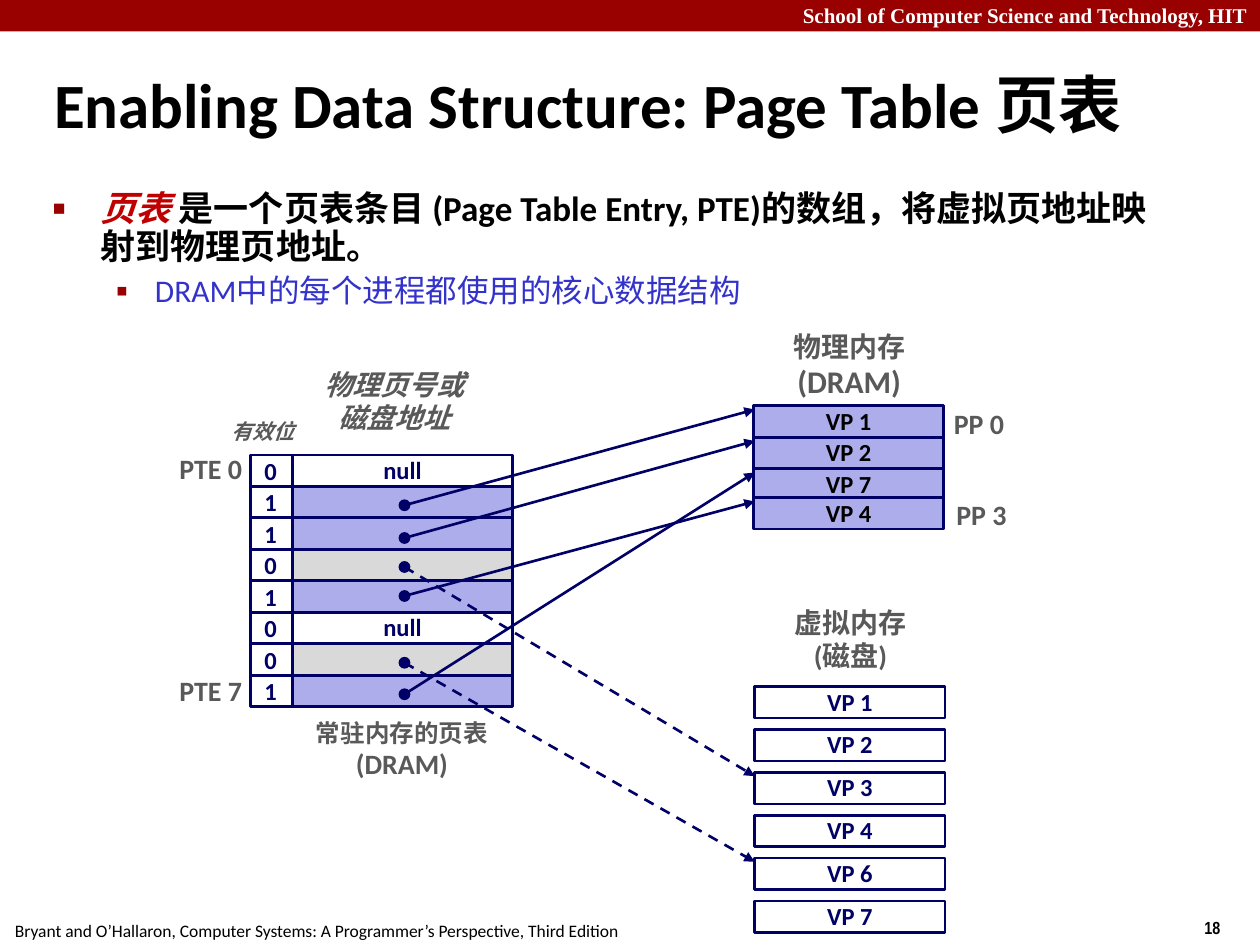
from dataclasses import dataclass
from typing import Any, Optional

from lxml import etree
from pptx import Presentation
from pptx import util as u
from pptx.dml.color import RGBColor
from pptx.enum import dml, shapes, text
from pptx.oxml import ns

RED = RGBColor(0x99, 0x00, 0x00)
CRIMSON = RGBColor(0xC0, 0x00, 0x00)
NAVY = RGBColor(0x00, 0x00, 0x66)
BLUE = RGBColor(0x33, 0x33, 0xCC)
LILAC = RGBColor(0xAD, 0xAD, 0xEB)
PALE = RGBColor(0xD9, 0xD9, 0xD9)
GREY = RGBColor(0x59, 0x59, 0x59)
BLACK = RGBColor(0x00, 0x00, 0x00)
WHITE = RGBColor(0xFF, 0xFF, 0xFF)

LEFT, MID, RIGHT = text.PP_ALIGN.LEFT, text.PP_ALIGN.CENTER, text.PP_ALIGN.RIGHT
RECT, OVAL = shapes.MSO_SHAPE.RECTANGLE, shapes.MSO_SHAPE.OVAL
TOP, CENTRE = text.MSO_ANCHOR.TOP, text.MSO_ANCHOR.MIDDLE

ROW_H = 0.25
BIT_X, BIT_W = 1.99, 0.33
PTE_X, PTE_W, PTE_Y = 2.32, 1.75, 3.61
RAM_X, DISK_X, PAGE_W = 5.98, 5.99, 1.51
DISK_Y, DISK_STEP = 5.45, 0.34
DOT_X, DOT_D = 3.17, 0.08


@dataclass
class Label:
    at: tuple[float, float, float, float]
    lines: list[tuple[str, float]]
    align: Any = MID
    anchor: Any = TOP
    color: RGBColor = GREY
    bold: bool = True
    slant: bool = False
    name: str = "Calibri"
    space: float = 0.98
    wrap: bool = False


@dataclass
class Entry:
    bit: str
    fill: RGBColor = WHITE
    dot: Optional[float] = None
    goal: Optional[float] = None


@dataclass
class Page:
    name: str
    left: float
    top: float
    fill: RGBColor = WHITE
    color: RGBColor = NAVY


RAM = [Page(name, RAM_X, top, LILAC, BLACK) for name, top in
       [("VP 1", 3.22), ("VP 2", 3.47), ("VP 7", 3.72), ("VP 4", 3.95)]]
DISK = [Page(f"VP {n}", DISK_X, DISK_Y + i * DISK_STEP)
        for i, n in enumerate([1, 2, 3, 4, 6, 7])]

ENTRIES = [
    Entry("0"),
    Entry("1", LILAC, 3.97, RAM[0].top),
    Entry("1", LILAC, 4.23, RAM[1].top),
    Entry("0", PALE, 4.46, DISK[2].top),
    Entry("1", LILAC, 4.69, RAM[3].top),
    Entry("0"),
    Entry("0", PALE, 5.22, DISK[4].top),
    Entry("1", LILAC, 5.47, RAM[2].top),
]

LABELS = [
    Label((9.46, 7.23, 0.75, 0.27), [("18", 10)], LEFT, color=BLACK,
          name="Arial Narrow", space=1),
    Label((0.02, 7.25, 5.01, 0.27),
          [("Bryant and O’Hallaron, Computer Systems: "
            "A Programmer’s Perspective, Third Edition", 10)],
          LEFT, color=BLACK, bold=False, space=1),
    Label((0, -0.03, 10, 0.3),
          [("School of Computer Science and Technology, HIT", 12)], RIGHT,
          color=WHITE, name="Times New Roman", space=1, wrap=True),
    Label((2.39, 5.66, 1.6, 0.59), [("常驻内存的页表", 14), ("(DRAM)", 16)]),
    Label((6.18, 2.58, 1.12, 0.66), [("物理内存", 16), ("(DRAM)", 18)]),
    Label((6.19, 4.77, 1.12, 0.62), [("虚拟内存", 16), ("(磁盘)", 16)]),
    Label((1.74, 3.28, 0.75, 0.3), [("有效位", 12)], LEFT, slant=True, wrap=True),
    Label((2.47, 2.88, 1.32, 0.62), [("物理页号或", 16), ("磁盘地址", 16)],
          anchor=CENTRE, slant=True),
    Label((1.32, 3.55, 0.7, 0.36), [("PTE 0", 16)], RIGHT, CENTRE),
    Label((1.32, 5.31, 0.7, 0.36), [("PTE 7", 16)], RIGHT, CENTRE),
    Label((7.47, 3.19, 0.6, 0.36), [("PP 0", 16)], anchor=CENTRE),
    Label((7.49, 3.91, 0.6, 0.36), [("PP 3", 16)], anchor=CENTRE),
]


def write(para: Any, words: str, size: float, color: RGBColor, **looks: Any) -> None:
    run = para.add_run()
    run.text = words
    looks = {"name": "Calibri", "bold": True, "size": u.Pt(size)} | looks
    for key, value in looks.items():
        setattr(run.font, key, value)
    run.font.color.rgb = color


def place(item: Any, *at: float) -> None:
    for key, value in zip(("left", "top", "width", "height"), at):
        setattr(item, key, u.Inches(value))


def add_label(slide: Any, label: Label) -> None:
    box = slide.shapes.add_textbox(*map(u.Inches, label.at))
    frame = box.text_frame
    frame.word_wrap, frame.vertical_anchor = label.wrap, label.anchor
    frame.auto_size = text.MSO_AUTO_SIZE.SHAPE_TO_FIT_TEXT
    for i, (words, size) in enumerate(label.lines):
        para = frame.add_paragraph() if i else frame.paragraphs[0]
        para.alignment, para.line_spacing = label.align, label.space
        write(para, words, size, label.color, name=label.name,
              bold=label.bold, italic=label.slant)


def add_box(slide: Any, at: tuple[float, ...], fill: Optional[RGBColor],
            words: str = "", color: RGBColor = NAVY, kind: Any = RECT,
            width: float = 1.5) -> None:
    box = slide.shapes.add_shape(kind, *map(u.Inches, at))
    box.shadow.inherit = False
    if fill is None:
        box.fill.background()
    else:
        box.fill.solid()
        box.fill.fore_color.rgb = fill
    if width:
        box.line.color.rgb = NAVY
        box.line.width = u.Pt(width)
    else:
        box.line.fill.background()
    if words:
        frame = box.text_frame
        frame.word_wrap, frame.vertical_anchor = False, CENTRE
        para = frame.paragraphs[0]
        para.alignment, para.line_spacing = MID, 0.98
        write(para, words, 14, color)


def add_arrow(slide: Any, ends: tuple[float, ...], dashed: bool) -> None:
    arrow = slide.shapes.add_connector(
        shapes.MSO_CONNECTOR.STRAIGHT, *map(u.Inches, ends))
    arrow.line.color.rgb = NAVY
    arrow.line.width = u.Pt(1.5)
    if dashed:
        arrow.line.dash_style = dml.MSO_LINE.DASH
    etree.SubElement(arrow.line._get_or_add_ln(), ns.qn("a:tailEnd"), type="triangle")
    etree.SubElement(arrow._element.spPr, ns.qn("a:effectLst"))


def add_bullet(para: Any, mark: str, scale: int, left: float, hang: float) -> None:
    props = para._p.get_or_add_pPr()
    props.set("marL", str(u.Inches(left)))
    props.set("indent", str(-u.Inches(hang)))
    tint = etree.SubElement(props, ns.qn("a:buClr"))
    etree.SubElement(tint, ns.qn("a:srgbClr"), val=str(RED))
    etree.SubElement(props, ns.qn("a:buSzPct"), val=str(scale * 1000))
    etree.SubElement(props, ns.qn("a:buChar"), char=mark)


def fill_text(slide: Any) -> None:
    """Fill the title and the bullet list."""
    title, body = slide.shapes.title, slide.placeholders[1]
    place(title, 0.33, 0.39, 9.06, 0.86)
    place(body, 0.32, 1.47, 9.09, 1.41)
    for item, anchor in ((title, CENTRE), (body, TOP)):
        item.text_frame.auto_size = text.MSO_AUTO_SIZE.NONE
        item.text_frame.vertical_anchor = anchor
    head = title.text_frame.paragraphs[0]
    head.alignment = LEFT
    write(head, "Enabling Data Structure: Page Table 页表", 36, BLACK)

    main, sub = body.text_frame.paragraphs[0], body.text_frame.add_paragraph()
    sub.level = 1
    for para, gap in ((main, 5), (sub, 4.5)):
        para.line_spacing, para.space_before = 0.9, u.Pt(gap)
    add_bullet(main, "■", 60, 0.38, 0.38)
    add_bullet(sub, "▪", 110, 0.81, 0.31)
    write(main, "页表 ", 20, CRIMSON, italic=True)
    write(main, "是一个页表条目 (Page Table Entry, PTE)的数组，"
          "将虚拟页地址映射到物理页地址。", 20, BLACK)
    write(sub, "DRAM中的每个进程都使用的核心数据结构", 18, BLUE, bold=False)


def draw_table(slide: Any) -> None:
    for i, entry in enumerate(ENTRIES):
        top = PTE_Y + i * ROW_H
        words = "null" if entry.dot is None else ""
        add_box(slide, (PTE_X, top, PTE_W, ROW_H), entry.fill, words)
        add_box(slide, (BIT_X, top, BIT_W, ROW_H), None)
        add_label(slide, Label((2, top - 0.03, 0.3, 0.33), [(entry.bit, 14)],
                               LEFT, color=NAVY))


def draw_links(slide: Any) -> None:
    for entry in ENTRIES:
        if entry.dot is not None:
            add_box(slide, (DOT_X, entry.dot, DOT_D, DOT_D), NAVY, kind=OVAL, width=1)
            ends = (DOT_X + DOT_D / 2, entry.dot + DOT_D / 2, DISK_X, entry.goal + 0.03)
            add_arrow(slide, ends, entry.fill == PALE)


def main() -> None:
    deck = Presentation()
    deck.slide_width, deck.slide_height = u.Inches(10), u.Inches(7.5)
    slide = deck.slides.add_slide(deck.slide_layouts[1])
    add_box(slide, (0, 0, 10, 0.25), RED, width=0)
    fill_text(slide)
    draw_table(slide)
    for page in RAM + DISK:
        add_box(slide, (page.left, page.top, PAGE_W, ROW_H), page.fill,
                page.name, page.color)
    draw_links(slide)
    for label in LABELS:
        add_label(slide, label)
    deck.save("out.pptx")


if __name__ == "__main__":
    main()
